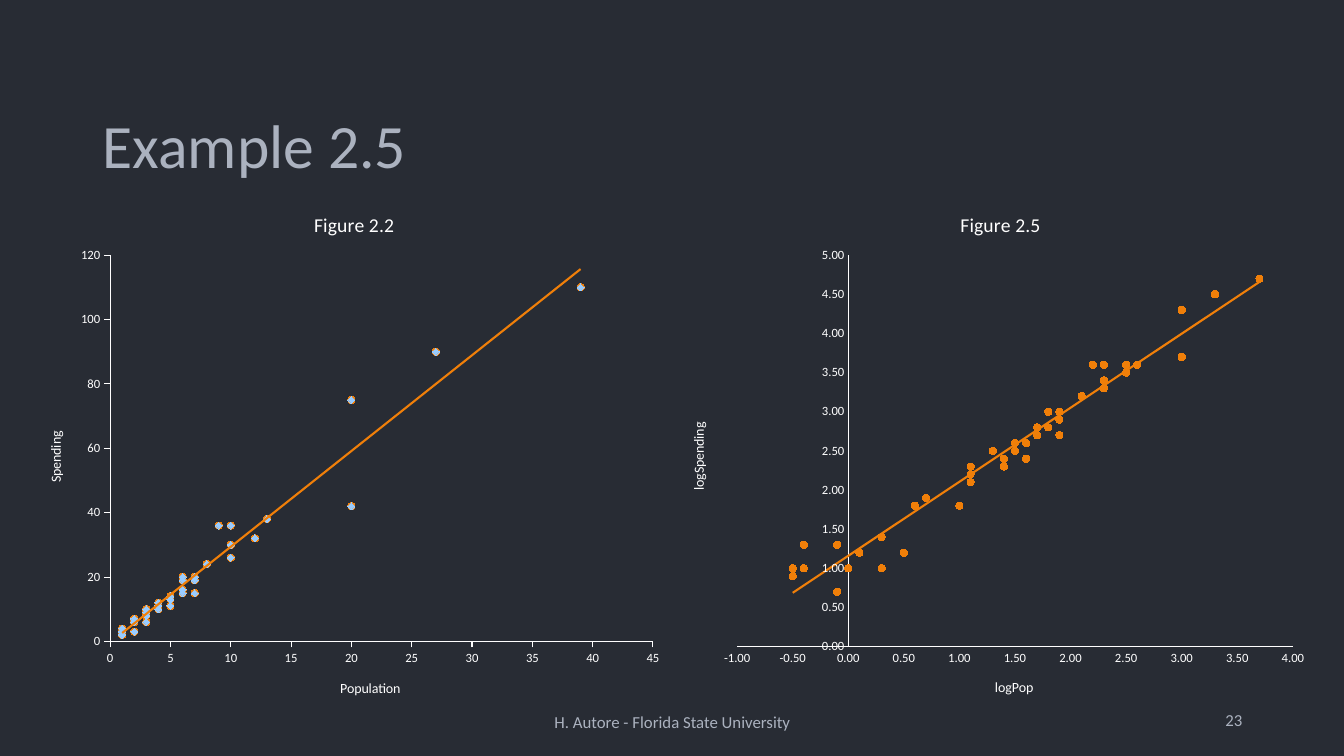
from lxml import etree
from pptx import Presentation
from pptx.chart.data import XyChartData
from pptx.dml.color import RGBColor
from pptx.enum.chart import XL_CHART_TYPE as ChartType, XL_MARKER_STYLE as Marker, XL_TICK_MARK as Tick
from pptx.enum.text import MSO_ANCHOR as Anchor, PP_ALIGN as Align
from pptx.oxml import parse_xml
from pptx.oxml.ns import nsdecls, qn
from pptx.util import Inches, Pt

BACKGROUND, MUTED, WHITE = "282C34", "ABB2BF", "FFFFFF"
ORANGE, BLUE = "F07F09", "99CCFF"

POPULATION = [5, 1, 7, 3, 39, 5, 4, 1, 20, 10, 1, 2, 13, 7, 3, 3, 4, 5, 1, 6, 7, 10, 6, 3, 6,
              1, 2, 3, 1, 9, 2, 20, 10, 1, 12, 4, 4, 13, 1, 5, 1, 6, 27, 3, 1, 8, 7, 2, 6, 1]
SPENDING = [13, 4, 15, 9, 110, 14, 12, 4, 42, 26, 4, 3, 38, 19, 10, 9, 12, 13, 3, 20, 20, 36, 16, 8, 16,
            3, 6, 6, 4, 36, 7, 75, 30, 3, 32, 10, 11, 38, 3, 11, 2, 15, 90, 9, 2, 24, 20, 6, 19, 3]
LOG_POPULATION = [1.6, -0.4, 1.9, 1.1, 3.7, 1.7, 1.3, -0.1, 3, 2.3, 0.3, 0.5, 2.6, 1.9, 1.1, 1.1, 1.5,
                  1.5, 0.3, 1.8, 1.9, 2.3, 1.7, 1.1, 1.8, 0, 0.6, 1, 0.3, 2.2, 0.7, 3, 2.3, -0.4,
                  2.5, 1.4, 1.4, 2.5, 0.1, 1.6, -0.1, 1.9, 3.3, 1.1, -0.5, 2.1, 1.9, 0.6, 1.8, -0.5]
LOG_SPENDING = [2.6, 1.3, 2.7, 2.2, 4.7, 2.7, 2.5, 1.3, 3.7, 3.3, 1.4, 1.2, 3.6, 2.9, 2.3, 2.2, 2.5,
                2.6, 1, 3, 3, 3.6, 2.8, 2.1, 2.8, 1, 1.8, 1.8, 1.4, 3.6, 1.9, 4.3, 3.4, 1,
                3.5, 2.3, 2.4, 3.6, 1.2, 2.4, 0.7, 2.7, 4.5, 2.2, 0.9, 3.2, 3, 1.8, 3, 1]


def rgb(color):
    """Turn a hex string into a colour."""
    return RGBColor.from_string(color)


def set_all(target, values):
    """Set each attribute of the target from a dict."""
    for name, value in values.items():
        setattr(target, name, value)


def style_font(font, size, color):
    """Give a font its face, size and colour."""
    set_all(font, {"name": "Calibri", "size": Pt(size), "bold": False})
    font.color.rgb = rgb(color)


def add_label(slide, box, text, size, anchor, align):
    """Place one line of muted text in the box."""
    frame = slide.shapes.add_textbox(*map(Inches, box)).text_frame
    set_all(frame, {"word_wrap": True, "vertical_anchor": anchor, "text": text})
    line = frame.paragraphs[0]
    set_all(line, {"alignment": align, "line_spacing": 0.9})
    style_font(line.font, size, MUTED)


def make_layout(target, **position):
    """Build a manual layout from fractions of the chart."""
    layout = etree.Element(qn("c:layout"))
    manual = etree.SubElement(layout, qn("c:manualLayout"))
    settings = {"xMode": "edge", "yMode": "edge", **position}
    if target:
        settings = {"layoutTarget": target, **settings}
    for name, value in settings.items():
        etree.SubElement(manual, qn(f"c:{name}")).set("val", str(value))
    return layout


def place(parent, layout, index):
    """Put a layout into its parent in place of any earlier one."""
    for earlier in parent.findall(qn("c:layout")):
        parent.remove(earlier)
    parent.insert(index, layout)


def style_axis(axis, title, scale, tick, number_format):
    """Format one axis with its title, scale and tick marks."""
    low, high, step = scale
    set_all(axis, {"minimum_scale": low, "maximum_scale": high, "major_unit": step,
                   "has_major_gridlines": False, "major_tick_mark": tick, "minor_tick_mark": Tick.NONE})
    set_all(axis.tick_labels, {"number_format": number_format, "number_format_is_linked": False})
    style_font(axis.tick_labels.font, 9, WHITE)
    axis.format.line.color.rgb = rgb(WHITE)
    axis.format.line.width = Pt(0.75)
    axis.axis_title.text_frame.text = title
    style_font(axis.axis_title.text_frame.paragraphs[0].runs[0].font, 10, WHITE)


def add_trend(series):
    """Add a linear trend line to a series."""
    trend = parse_xml(
        f'<c:trendline {nsdecls("c", "a")}><c:spPr><a:ln w="{Pt(1.5)}"><a:solidFill>'
        f'<a:srgbClr val="{ORANGE}"/></a:solidFill></a:ln></c:spPr><c:trendlineType val="linear"/>'
        '<c:dispRSqr val="0"/><c:dispEq val="0"/></c:trendline>')
    series._element.find(qn("c:xVal")).addprevious(trend)


def add_scatter(slide, box, title, points, markers, axes, tick, number_format, plot_box):
    """Draw a scatter chart in the box, with a trend line on its last series."""
    data = XyChartData()
    for number in range(1, len(markers) + 1):
        series = data.add_series(f"Series {number}")
        for x, y in points:
            series.add_data_point(x, y)
    chart = slide.shapes.add_chart(ChartType.XY_SCATTER, *map(Inches, box), data).chart
    style_font(chart.font, 10, WHITE)
    set_all(chart, {"has_legend": False, "has_title": True})
    heading = chart.chart_title
    heading.text_frame.text = title
    style_font(heading.text_frame.paragraphs[0].runs[0].font, 14, WHITE)
    place(heading._element, make_layout(None, x=0.44, y=0.04), 1)

    plot = chart.plots[0]
    plot.vary_by_categories = False
    for series, (style, color) in zip(plot.series, markers):
        series.format.line.fill.background()
        set_all(series.marker, {"style": style, "size": 5})
        series.marker.format.fill.solid()
        series.marker.format.fill.fore_color.rgb = rgb(color)
        series.marker.format.line.color.rgb = rgb(color)
    add_trend(plot.series[-1])

    for axis, (name, scale) in zip((chart.category_axis, chart.value_axis), axes):
        style_axis(axis, name, scale, tick, number_format)
    place(chart._chartSpace.chart.plotArea, make_layout("inner", **plot_box), 0)


def build_example(slide):
    """Fill the slide with its title, two charts and footer."""
    slide.background.fill.solid()
    slide.background.fill.fore_color.rgb = rgb(BACKGROUND)
    add_label(slide, (0.92, 0.4, 11.5, 1.45), "Example 2.5", 44, Anchor.BOTTOM, Align.LEFT)
    add_label(slide, (11.05, 6.95, 1.37, 0.4), "23", 12, Anchor.MIDDLE, Align.RIGHT)

    left, top, width, height = 0.26, 1.85, 6.41, 5.25
    dot = (Marker.CIRCLE, ORANGE)
    add_scatter(slide, (left, top, width, height), "Figure 2.2", list(zip(POPULATION, SPENDING)),
                [(Marker.DIAMOND, BLUE), dot],
                [("Population", (0, 45, 5)), ("Spending", (0, 120, 20))],
                Tick.OUTSIDE, "General", {"x": 0.13, "y": 0.13, "w": 0.84, "h": 0.73})
    add_scatter(slide, (left + width, top, width, height), "Figure 2.5",
                list(zip(LOG_POPULATION, LOG_SPENDING)), [dot],
                [("logPop", (-1, 4, 0.5)), ("logSpending", (0, 5, 0.5))],
                Tick.NONE, "0.00", {"x": 0.1, "y": 0.13, "w": 0.86, "h": 0.74})
    add_label(slide, (2.67, 6.97, 8, 0.4), "H. Autore - Florida State University", 12,
              Anchor.MIDDLE, Align.CENTER)


def main():
    """Create the presentation and save it."""
    deck = Presentation()
    set_all(deck, {"slide_width": Inches(13.33), "slide_height": Inches(7.5)})
    build_example(deck.slides.add_slide(deck.slide_layouts[6]))
    deck.save("out.pptx")


if __name__ == "__main__":
    main()
